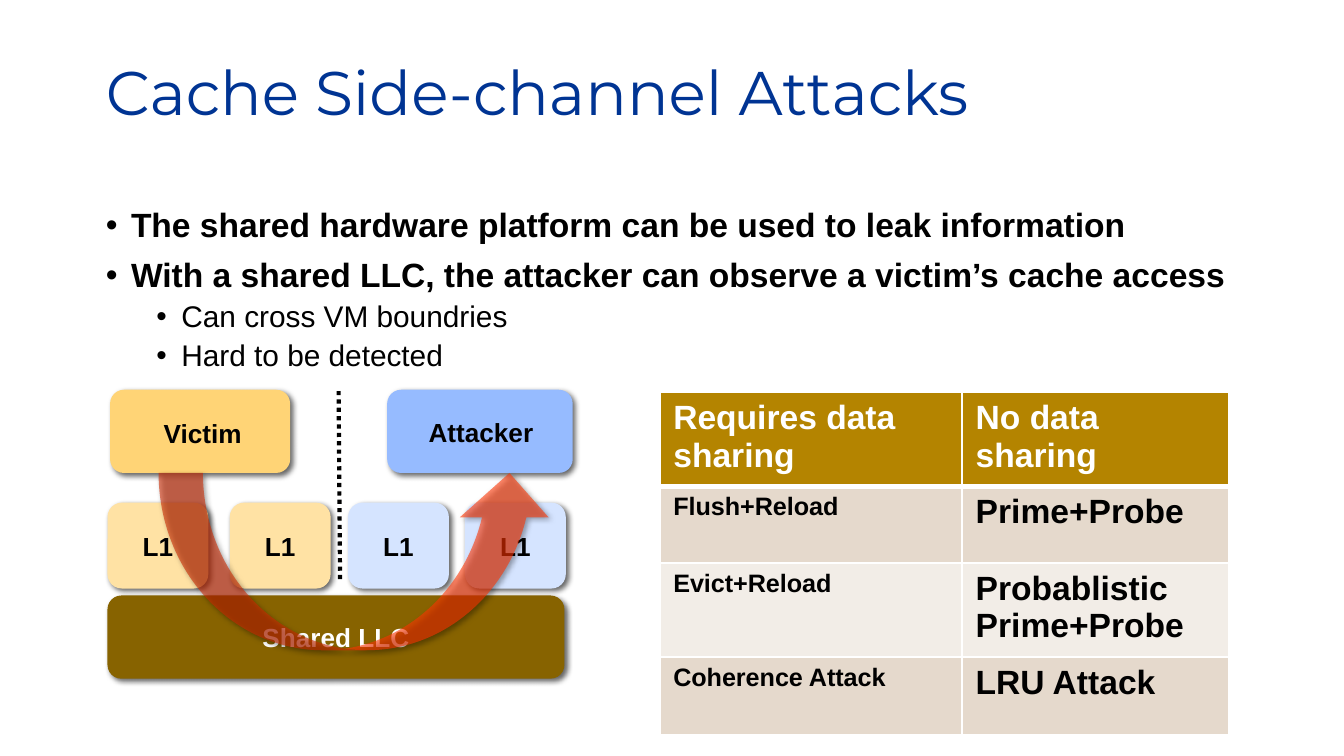
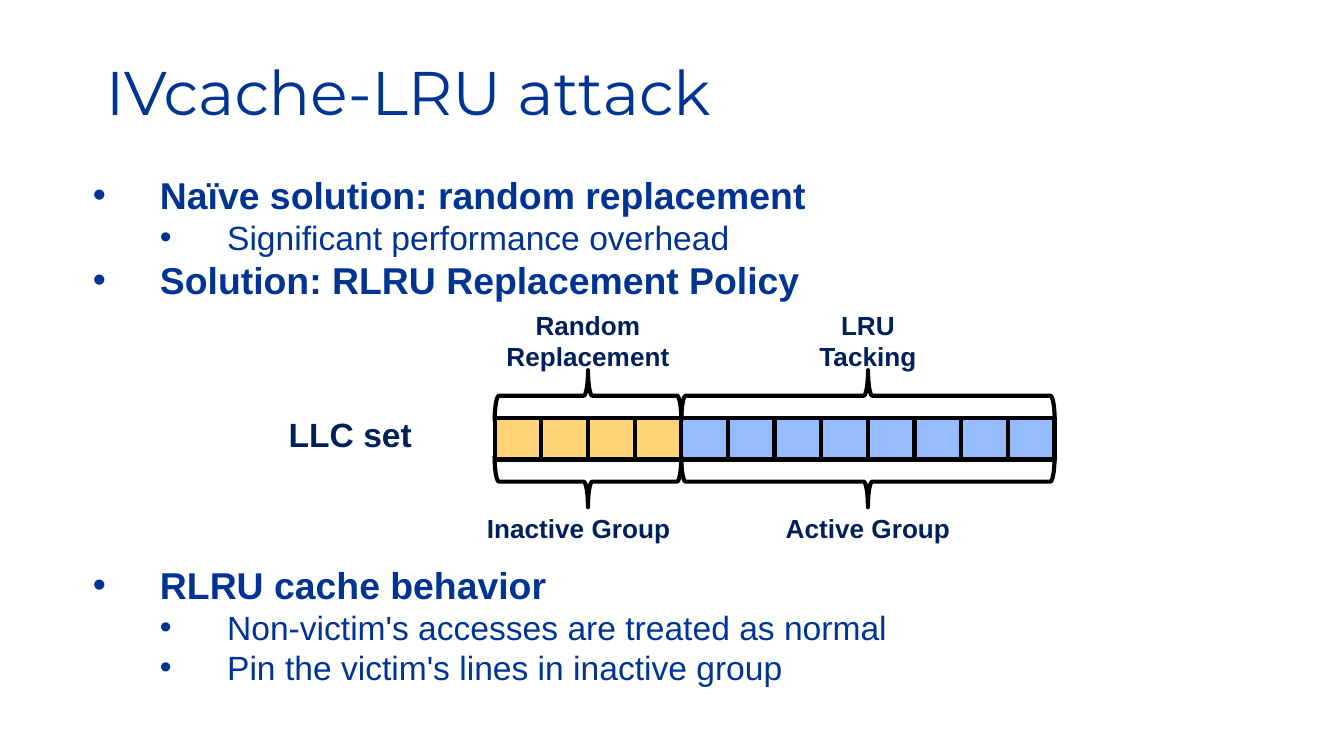
"""Builds two slides on cache side-channel attacks and the RLRU replacement policy."""
from lxml.etree import SubElement
from pptx import Presentation
from pptx.dml.color import RGBColor
from pptx.enum.dml import MSO_LINE
from pptx.enum.shapes import MSO_CONNECTOR, MSO_SHAPE
from pptx.enum.text import MSO_ANCHOR, MSO_AUTO_SIZE, PP_ALIGN
from pptx.oxml.ns import qn
from pptx.util import Pt

BLUE, NAVY, BLACK, WHITE = "003493", "00205B", "000000", "FFFFFF"
GOLD, PALE_GOLD, DARK_GOLD, HEADER_GOLD = "FFD476", "FFE2A4", "876300", "B48400"
SKY, PALE_SKY, RED = "96BBFF", "D5E4FF", "FF3300"
BANDS = ("E5D9CC", "F2EDE7")

TITLE_BOX = (49.5, 30, 621, 69)
TITLE_FORMAT = dict(size=Pt(33), name="Montserrat", bold=False)
LABEL_FORMAT = dict(size=Pt(14), name="Arial", bold=True)

LEAK_STYLE = dict(color=BLACK, sizes=(18, 16), margins=(13.5, 40.5), hang=13.5,
                  before=(7.5, 3.75), spacing=0.9)
POLICY_STYLE = dict(color=BLUE, sizes=(20, 18), margins=(36, 72), hang=36,
                    before=(0, 0), spacing=1.0)

ATTACKS_TITLE = "Cache Side-channel Attacks"
LEAK_BOX = (49.5, 108, 621, 95)
LEAK_POINTS = [
    (0, "The shared hardware platform can be used to leak information"),
    (0, "With a shared LLC, the attacker can observe a victim’s cache access"),
    (1, "Can cross VM boundries"),
    (1, "Hard to be detected"),
]
L1_TOP, L1_WIDTH, L1_HEIGHT = 269.3, 54, 46
L1_CACHES = [(57.6, PALE_GOLD), (123.1, PALE_GOLD), (186.5, PALE_SKY), (249.1, PALE_SKY)]
SHARED_CACHE = ("Shared LLC", (57.6, 319, 244.8, 44.6), DARK_GOLD, WHITE)
PARTIES = [
    ("Victim", (59, 208.8, 96.5, 44.6), GOLD, (80.6, 220.3, 56.9, 24.5)),
    ("Attacker", (207.4, 208.8, 99.4, 44.6), SKY, (222.5, 219.6, 71.3, 24.5)),
]
LEAK_ARROW = (85, 253.4, 211.7, 95)
BOUNDARY = (181.4, 209.5, 182.2, 311.8)
ATTACK_TABLE = (353.5, 210.2, 304.6, 154.8)
ATTACK_COLUMNS = (162, 142.6)
ATTACK_ROWS = [
    (32.4, "Requires data sharing", "No data sharing"),
    (41, "Flush+Reload", "Prime+Probe"),
    (39.6, "Evict+Reload", "Probablistic Prime+Probe"),
    (41.8, "Coherence Attack", "LRU Attack"),
]

POLICY_TITLE = "IVcache-LRU attack"
POLICY_LISTS = [
    ((42.5, 88.6, 422, 80), [
        (0, "Naïve solution: random replacement"),
        (1, "Significant performance overhead"),
        (0, "Solution: RLRU Replacement Policy"),
    ]),
    ((42.5, 297.4, 514.8, 75), [
        (0, "RLRU cache behavior"),
        (1, "Non-victim's accesses are treated as normal"),
        (1, "Pin the victim's lines in inactive group"),
    ]),
]
SET_LABEL = ("LLC set", (147.6, 218.2, 90, 28.8))
SET_LEFT, SET_TOP, WAY_WIDTH, WAY_HEIGHT = 265, 223.9, 25, 22.3
WAY_GROUPS = [
    (4, GOLD, ["Random", "Replacement"], "Inactive Group", -5),
    (8, SKY, ["LRU", "Tacking"], "Active Group", 0),
]
BRACE_DEPTH, UPPER_BRACE, LOWER_BRACE = 27.4, 212, 258
GROUP_LABEL_WIDTH, UPPER_LABEL, LOWER_LABEL = 113, (162, 41), (270.7, 24.5)


def rgb(hexcode):
    """Turn a hex string into a colour."""
    return RGBColor.from_string(hexcode)


def points(box):
    """Turn numbers into point lengths."""
    return [Pt(value) for value in box]


def apply(target, values):
    """Set each format value on the target."""
    for key, value in values.items():
        setattr(target, key, value)


def place(part, box):
    """Move and size a part."""
    apply(part, dict(zip(("left", "top", "width", "height"), points(box))))


def write(paragraph, words, color, **changes):
    """Add one formatted run to a paragraph."""
    run = paragraph.add_run()
    run.text = words
    apply(run.font, LABEL_FORMAT | changes)
    run.font.color.rgb = rgb(color)


def write_lines(frame, lines, color, align, **changes):
    """Write one aligned paragraph per line."""
    for index, line in enumerate(lines):
        paragraph = frame.add_paragraph() if index else frame.paragraphs[0]
        paragraph.alignment = align
        write(paragraph, line, color, **changes)


def add_label(slide, lines, box, color, align=PP_ALIGN.LEFT, wrap=True, **changes):
    """Add free-standing text."""
    frame = slide.shapes.add_textbox(*points(box)).text_frame
    frame.word_wrap = wrap
    write_lines(frame, lines, color, align, **changes)


def add_block(slide, preset, box, fill=None, outlined=False):
    """Add a preset shape without shadow."""
    block = slide.shapes.add_shape(preset, *points(box))
    block.shadow.inherit = False
    if fill:
        block.fill.solid()
        block.fill.fore_color.rgb = rgb(fill)
    else:
        block.fill.background()
    if outlined:
        block.line.color.rgb = rgb(BLACK)
        block.line.width = Pt(2.25)
    else:
        block.line.fill.background()
    return block


def add_raised(slide, preset, box, fill, words=None, color=BLACK):
    """Add a preset shape with a soft shadow and an optional centred label."""
    block = add_block(slide, preset, box, fill)
    effects = block._element.spPr.find(qn("a:effectLst"))
    shadow = SubElement(effects, qn("a:outerShdw"), blurRad=str(Pt(3)), dist=str(Pt(2)),
                        dir="2700000", algn="tl", rotWithShape="0")
    shade = SubElement(shadow, qn("a:srgbClr"), val=BLACK)
    SubElement(shade, qn("a:alpha"), val="60000")
    if words:
        block.text_frame.vertical_anchor = MSO_ANCHOR.MIDDLE
        write_lines(block.text_frame, [words], color, PP_ALIGN.CENTER)
    return block


def fill_list(holder, box, entries, style):
    """Fill a body placeholder with a two-level bulleted list."""
    place(holder, box)
    frame = holder.text_frame
    apply(frame, dict(auto_size=MSO_AUTO_SIZE.NONE, vertical_anchor=MSO_ANCHOR.TOP))
    for index, (level, words) in enumerate(entries):
        paragraph = frame.add_paragraph() if index else frame.paragraphs[0]
        apply(paragraph, dict(level=level, line_spacing=style["spacing"],
                              space_before=Pt(style["before"][level]), space_after=Pt(0)))
        properties = paragraph._p.get_or_add_pPr()
        properties.set("marL", str(Pt(style["margins"][level])))
        properties.set("indent", str(-Pt(style["hang"])))
        SubElement(properties, qn("a:buFont"), typeface="Arial")
        SubElement(properties, qn("a:buChar"), char="•")
        write(paragraph, words, style["color"], size=Pt(style["sizes"][level]), bold=level == 0)


def start_slide(deck, layout, title):
    """Add a slide with the shared title style."""
    slide = deck.slides.add_slide(deck.slide_layouts[layout])
    heading = slide.shapes.title
    place(heading, TITLE_BOX)
    apply(heading.text_frame, dict(auto_size=MSO_AUTO_SIZE.NONE, vertical_anchor=MSO_ANCHOR.TOP))
    heading.text_frame.paragraphs[0].line_spacing = 0.9
    write_lines(heading.text_frame, [title], BLUE, PP_ALIGN.LEFT, **TITLE_FORMAT)
    return slide


def edge_cell(cell, bottom):
    """Draw white borders around a cell."""
    properties = cell._tc.get_or_add_tcPr()
    for index, (side, width) in enumerate((("L", 1), ("R", 1), ("T", 1), ("B", bottom))):
        edge = SubElement(properties, qn(f"a:ln{side}"), w=str(Pt(width)))
        SubElement(SubElement(edge, qn("a:solidFill")), qn("a:srgbClr"), val=WHITE)
        properties.insert(index, edge)


def add_attack_table(slide):
    """Add the table of attacks by data sharing."""
    table = slide.shapes.add_table(len(ATTACK_ROWS), len(ATTACK_COLUMNS),
                                   *points(ATTACK_TABLE)).table
    for column, width in zip(table.columns, ATTACK_COLUMNS):
        column.width = Pt(width)
    for row, (height, *attacks) in enumerate(ATTACK_ROWS):
        table.rows[row].height = Pt(height)
        for column, attack in enumerate(attacks):
            cell = table.cell(row, column)
            cell.fill.solid()
            cell.fill.fore_color.rgb = rgb(BANDS[(row - 1) % 2] if row else HEADER_GOLD)
            edge_cell(cell, 1 if row else 3)
            size = 13.5 if row and column == 0 else 18
            write_lines(cell.text_frame, [attack], BLACK if row else WHITE,
                        PP_ALIGN.LEFT, size=Pt(size))


def add_attacks_slide(deck):
    """Show how a shared cache leaks from victim to attacker."""
    slide = start_slide(deck, 1, ATTACKS_TITLE)
    fill_list(slide.placeholders[1], LEAK_BOX, LEAK_POINTS, LEAK_STYLE)
    rounded = MSO_SHAPE.ROUNDED_RECTANGLE
    words, box, fill, color = SHARED_CACHE
    add_raised(slide, rounded, box, fill, words, color)
    for left, fill in L1_CACHES:
        add_raised(slide, rounded, (left, L1_TOP, L1_WIDTH, L1_HEIGHT), fill, "L1")
    for _, box, fill, _ in PARTIES:
        add_raised(slide, rounded, box, fill)
    leak = add_raised(slide, MSO_SHAPE.CURVED_UP_ARROW, LEAK_ARROW, RED)
    tint = leak._element.spPr.find(qn("a:solidFill"))[0]
    SubElement(tint, qn("a:alpha"), val="58000")
    for party, _, _, box in PARTIES:
        add_label(slide, [party], box, BLACK, wrap=False)
    boundary = slide.shapes.add_connector(MSO_CONNECTOR.STRAIGHT, *points(BOUNDARY))
    boundary.line.color.rgb = rgb(BLACK)
    apply(boundary.line, dict(width=Pt(2.25), dash_style=MSO_LINE.ROUND_DOT))
    SubElement(boundary._element.spPr, qn("a:effectLst"))
    add_attack_table(slide)


def add_brace(slide, center, middle, length, rotation):
    """Add a brace turned around its centre."""
    box = (center - BRACE_DEPTH / 2, middle - length / 2, BRACE_DEPTH, length)
    add_block(slide, MSO_SHAPE.LEFT_BRACE, box, outlined=True).rotation = rotation


def add_group_label(slide, lines, center, rows):
    """Add a centred label above or below a group of ways."""
    top, height = rows
    box = (center - GROUP_LABEL_WIDTH / 2, top, GROUP_LABEL_WIDTH, height)
    add_label(slide, lines, box, NAVY, PP_ALIGN.CENTER)


def add_policy_slide(deck):
    """Show the RLRU policy on one cache set."""
    slide = start_slide(deck, 3, POLICY_TITLE)
    for holder, (box, entries) in zip(list(slide.placeholders)[1:], POLICY_LISTS):
        fill_list(holder, box, entries, POLICY_STYLE)
    words, box = SET_LABEL
    add_label(slide, [words], box, NAVY, size=Pt(18))
    left = SET_LEFT
    for ways, fill, policy, group, shift in WAY_GROUPS:
        for way in range(ways):
            add_block(slide, MSO_SHAPE.RECTANGLE,
                      (left + way * WAY_WIDTH, SET_TOP, WAY_WIDTH, WAY_HEIGHT), fill, True)
        length = ways * WAY_WIDTH
        center = left + length / 2
        add_brace(slide, center, UPPER_BRACE, length, 90)
        add_brace(slide, center, LOWER_BRACE, length, 270)
        add_group_label(slide, policy, center, UPPER_LABEL)
        add_group_label(slide, [group], center + shift, LOWER_LABEL)
        left += length


def main():
    """Build and save the deck."""
    deck = Presentation()
    apply(deck, dict(slide_width=Pt(720), slide_height=Pt(405)))
    add_attacks_slide(deck)
    add_policy_slide(deck)
    deck.save("out.pptx")


if __name__ == "__main__":
    main()
